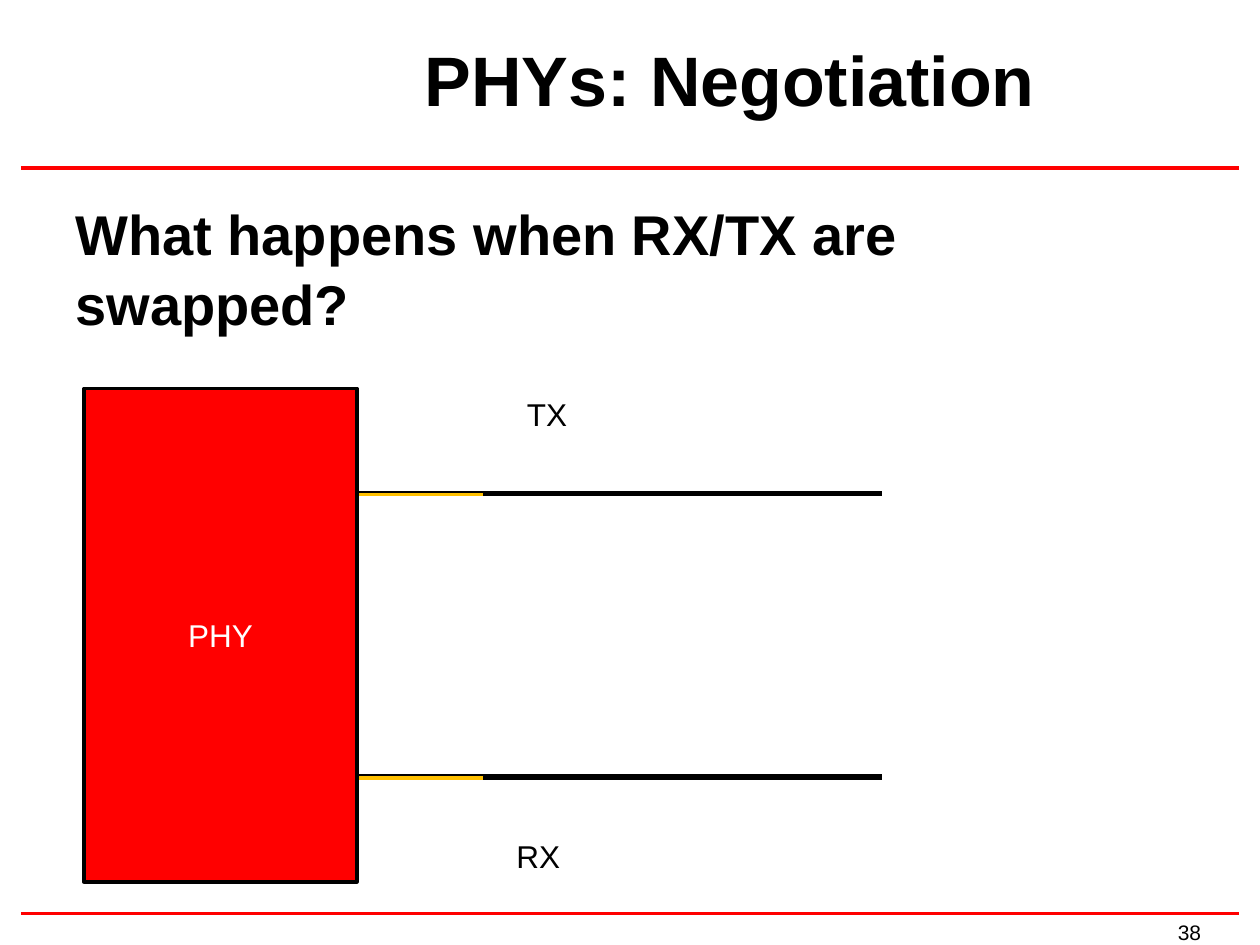
from lxml import etree
from pptx import Presentation
from pptx.dml.color import RGBColor
from pptx.enum.shapes import MSO_CONNECTOR as Connector, MSO_SHAPE as Shape
from pptx.enum.text import MSO_ANCHOR as Anchor, MSO_AUTO_SIZE as AutoSize, PP_ALIGN as Align
from pptx.oxml.ns import qn
from pptx.util import Pt

PX = 7620  # 120 px to the inch
RED, BLACK, WHITE, AMBER = "FF0000", "000000", "FFFFFF", "FFC000"

deck = Presentation()
deck.slide_width, deck.slide_height = 1200 * PX, 900 * PX
page = deck.slides.add_slide(deck.slide_layouts[6])


def add_line(left, right, y, color, width):
    """Draw a horizontal line."""
    line = page.shapes.add_connector(
        Connector.STRAIGHT, left * PX, y * PX, right * PX, y * PX)
    line.line.color.rgb = RGBColor.from_string(color)
    line.line.width = Pt(width)
    etree.SubElement(line._element.spPr, qn("a:effectLst"))


def write(box, text, size, color=BLACK, bold=False, align=Align.LEFT):
    """Fill a shape with one paragraph and return that paragraph."""
    para = box.text_frame.paragraphs[0]
    para.text = text
    para.alignment = align
    para.font.name = "Arial"
    para.font.size = Pt(size)
    para.font.bold = bold
    para.font.color.rgb = RGBColor.from_string(color)
    return para


# Red rules above and below the content
for y in (160, 870):
    add_line(20, 1180, y, RED, 2)

# Wires with a link pulse at the PHY end
for y in (740, 470):
    add_line(340, 840, y, BLACK, 3)
    add_line(340, 460, y + 1, AMBER, 2.25)

title = page.shapes.add_textbox(250 * PX, 26 * PX, 890 * PX, 114 * PX)
title.text_frame.word_wrap = True
title.text_frame.vertical_anchor = Anchor.MIDDLE
write(title, "PHYs: Negotiation", 40, bold=True, align=Align.CENTER).line_spacing = 0.75

question = page.shapes.add_textbox(60 * PX, 182 * PX, 1068 * PX, 594 * PX)
question.text_frame.word_wrap = True
write(question, "What happens when RX/TX are swapped?", 32, bold=True).line_spacing = 1.04

phy = page.shapes.add_shape(Shape.RECTANGLE, 80 * PX, 370 * PX, 260 * PX, 470 * PX)
phy.shadow.inherit = False
phy.fill.solid()
phy.fill.fore_color.rgb = RGBColor.from_string(RED)
phy.line.color.rgb = RGBColor.from_string(BLACK)
phy.line.width = Pt(2)
phy.text_frame.vertical_anchor = Anchor.MIDDLE
write(phy, "PHY", 18, WHITE, align=Align.CENTER)

for name, left, top, width in (("TX", 490, 370, 62), ("RX", 480, 791, 66)):
    label = page.shapes.add_textbox(left * PX, top * PX, width * PX, 48 * PX)
    label.text_frame.word_wrap = False
    label.text_frame.auto_size = AutoSize.SHAPE_TO_FIT_TEXT
    write(label, name, 18)

page_number = page.shapes.add_textbox(1110 * PX, 870 * PX, 110 * PX, 36 * PX)
page_number.text_frame.word_wrap = True
write(page_number, "38", 12)

deck.save("out.pptx")
